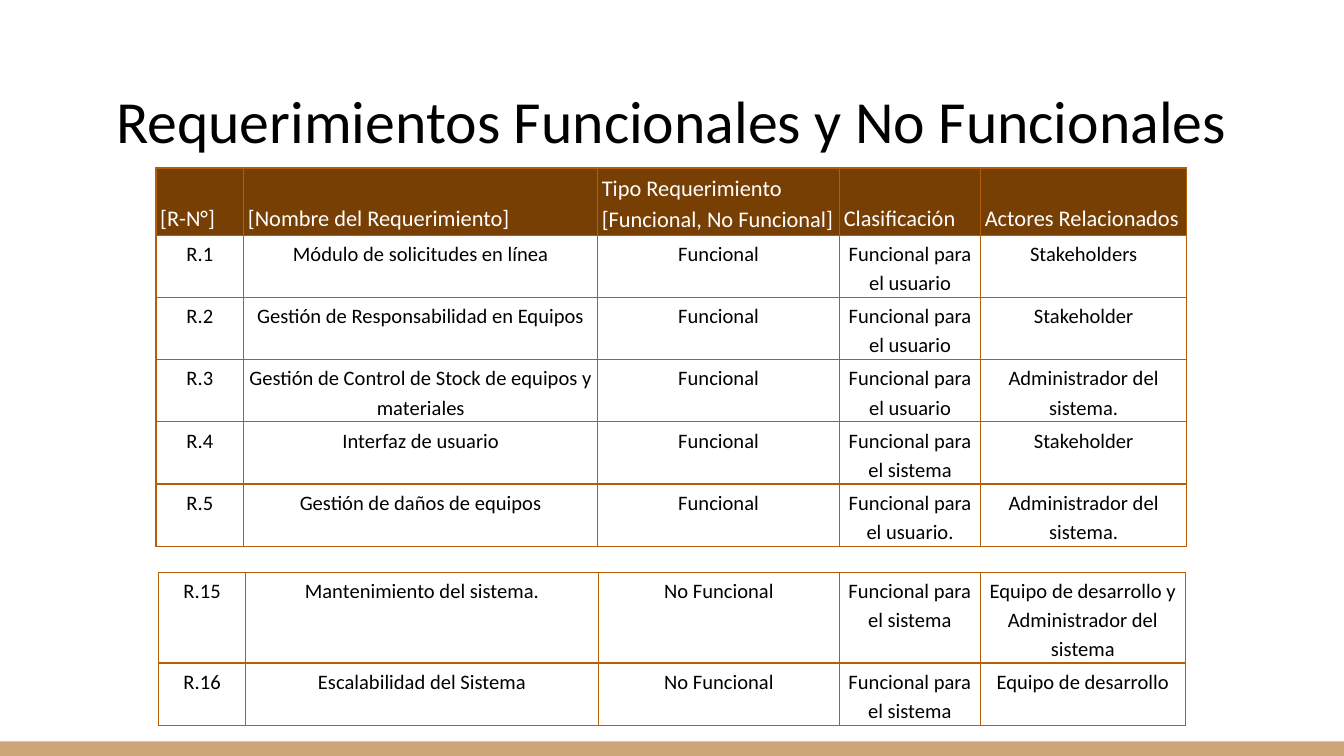
from lxml import etree
from pptx import Presentation
from pptx.dml.color import RGBColor
from pptx.enum.shapes import MSO_SHAPE
from pptx.enum.text import MSO_ANCHOR, PP_ALIGN
from pptx.oxml.ns import qn
from pptx.util import Pt

RECTANGLE = MSO_SHAPE.RECTANGLE
TOP, BOTTOM = MSO_ANCHOR.TOP, MSO_ANCHOR.BOTTOM
LEFT, CENTER = PP_ALIGN.LEFT, PP_ALIGN.CENTER

FONT = "Calibri"
BLACK, WHITE = "000000", "FFFFFF"
BROWN, ORANGE, TAN = "783F04", "B45F06", "CCA677"
PAGE_WIDTH, PAGE_HEIGHT = 720, 405
BORDER_WIDTH = 0.75

HEADER = ["[R-N°]", "[Nombre del Requerimiento]",
          "Tipo Requerimiento\n[Funcional, No Funcional]",
          "Clasificación", "Actores Relacionados"]
FUNCTIONAL = [
    ["R.1", "Módulo de solicitudes en línea", "Funcional",
     "Funcional para el usuario", "Stakeholders"],
    ["R.2", "Gestión de Responsabilidad en Equipos", "Funcional",
     "Funcional para el usuario", "Stakeholder"],
    ["R.3", "Gestión de Control de Stock de equipos y materiales", "Funcional",
     "Funcional para el usuario", "Administrador del sistema."],
    ["R.4", "Interfaz de usuario", "Funcional",
     "Funcional para el sistema", "Stakeholder"],
    ["R.5", "Gestión de daños de equipos", "Funcional",
     "Funcional para el usuario.", "Administrador del sistema."],
]
NON_FUNCTIONAL = [
    ["R.15", "Mantenimiento del sistema.", "No Funcional",
     "Funcional para el sistema",
     "Equipo de desarrollo y Administrador del sistema"],
    ["R.16", "Escalabilidad del Sistema", "No Funcional",
     "Funcional para el sistema", "Equipo de desarrollo"],
]


def color(value):
    return RGBColor.from_string(value)


def style_paragraph(para, size, ink, align):
    para.alignment = align
    para.font.name = FONT
    para.font.size = Pt(size)
    para.font.color.rgb = color(ink)


def add_footer_band(page, left, top, width, height):
    band = page.shapes.add_shape(RECTANGLE, Pt(left), Pt(top), Pt(width), Pt(height))
    band.shadow.inherit = False
    band.fill.solid()
    band.fill.fore_color.rgb = color(TAN)
    band.line.fill.background()


def add_title(page, text, left, top, width, height):
    box = page.shapes.add_textbox(Pt(left), Pt(top), Pt(width), Pt(height))
    frame = box.text_frame
    frame.word_wrap = True
    frame.vertical_anchor = BOTTOM
    frame.margin_left = frame.margin_right = Pt(7.2)
    frame.margin_top = frame.margin_bottom = Pt(7.2)
    frame.text = text
    style_paragraph(frame.paragraphs[0], 32, BLACK, CENTER)


def add_borders(cell):
    properties = cell._tc.get_or_add_tcPr()
    for side in ("a:lnL", "a:lnR", "a:lnT", "a:lnB"):
        line = etree.SubElement(properties, qn(side), w=str(Pt(BORDER_WIDTH)))
        fill = etree.SubElement(line, qn("a:solidFill"))
        etree.SubElement(fill, qn("a:srgbClr"), val=ORANGE)


def fill_cell(cell, text, is_header):
    add_borders(cell)
    if is_header:
        cell.fill.solid()
        cell.fill.fore_color.rgb = color(BROWN)
    else:
        cell.fill.background()
    cell.margin_left = cell.margin_right = Pt(2.25)
    cell.margin_top = cell.margin_bottom = Pt(1.5)
    cell.vertical_anchor = BOTTOM if is_header else TOP
    cell.text = text
    for para in cell.text_frame.paragraphs:
        para.line_spacing = 1.15
        if is_header:
            style_paragraph(para, 12, WHITE, LEFT)
        else:
            style_paragraph(para, 11, BLACK, CENTER)


def add_requirements(page, rows, left, top, widths, heights):
    frame = page.shapes.add_table(len(rows), len(widths), Pt(left), Pt(top),
                                  Pt(sum(widths)), Pt(sum(heights)))
    table = frame.table
    table.first_row = table.horz_banding = False
    for column, width in zip(table.columns, widths):
        column.width = Pt(width)
    for row, height, texts in zip(table.rows, heights, rows):
        row.height = Pt(height)
        for cell, text in zip(row.cells, texts):
            fill_cell(cell, text, texts is HEADER)


def main():
    deck = Presentation()
    deck.slide_width, deck.slide_height = Pt(PAGE_WIDTH), Pt(PAGE_HEIGHT)
    page = deck.slides.add_slide(deck.slide_layouts[6])

    # Footer band and title
    add_footer_band(page, 0, PAGE_HEIGHT - 7.8, PAGE_WIDTH, 7.8)
    add_title(page, "Requerimientos Funcionales y No Funcionales",
              24.5, 25.2, 671, 65.5)

    # Functional requirements, under the header row
    add_requirements(page, [HEADER] + FUNCTIONAL, 83.6, 90,
                     [47, 189.6, 129.6, 75.6, 110.4], [30] + [28] * 5)

    # Non-functional requirements
    add_requirements(page, NON_FUNCTIONAL, 84.9, 306.7,
                     [46.7, 189, 129.2, 75.4, 110], [44, 31])

    deck.save("out.pptx")


if __name__ == "__main__":
    main()
